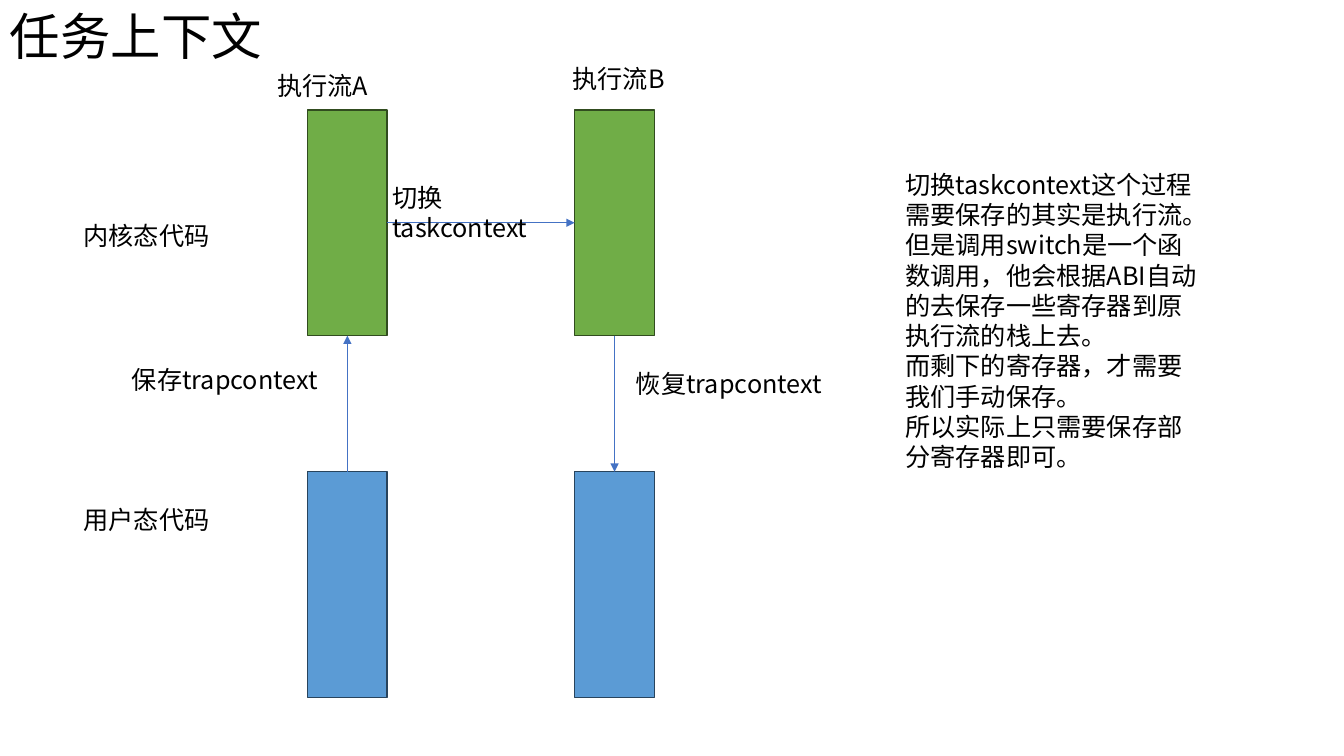
"""Builds the task context slide: two execution flows across kernel and user mode."""
from lxml.etree import SubElement
from pptx import Presentation
from pptx.dml.color import RGBColor
from pptx.enum.shapes import MSO_CONNECTOR as Connector, MSO_SHAPE as Shape
from pptx.enum.text import MSO_AUTO_SIZE as AutoSize
from pptx.oxml.ns import qn
from pptx.util import Inches, Pt

FONT = "Noto Sans CJK SC"
BLACK = RGBColor(0x00, 0x00, 0x00)
ARROW_BLUE = RGBColor(0x44, 0x72, 0xC4)
GREEN = RGBColor(0x70, 0xAD, 0x47)
GREEN_EDGE = RGBColor(0x31, 0x4C, 0x1F)
BLUE = RGBColor(0x5B, 0x9B, 0xD5)
BLUE_EDGE = RGBColor(0x28, 0x44, 0x5D)

TITLE = (["任务上下文"], 0, 0, 10.9, 0.71, 36)
LABELS = [
    (["内核态代码"], 0.73, 2.14, 1.83, 0.4, 18),
    (["用户态代码"], 0.73, 4.95, 1.83, 0.4, 18),
    (["保存trapcontext"], 1.21, 3.57, 2.06, 0.4, 18),
    (["恢复trapcontext"], 6.21, 3.6, 2.06, 0.4, 18),
    (["执行流A"], 2.65, 0.65, 1.96, 0.4, 18),
    (["执行流B"], 5.58, 0.58, 1.96, 0.4, 18),
    (["切换taskcontext"], 3.79, 1.76, 1.96, 0.4, 18),
]
EXPLANATION = ([
    "切换taskcontext这个过程需要保存的其实是执行流。",
    "但是调用switch是一个函数调用，他会根据ABI自动的去保存一些寄存器到原执行流的栈上去。",
    "而剩下的寄存器，才需要我们手动保存。",
    "所以实际上只需要保存部分寄存器即可。",
], 8.88, 1.63, 3.11, 3.13, 18)

FLOW_A, FLOW_B = 3.05, 5.7
KERNEL_TOP, USER_TOP = 1.09, 4.68
BLOCK_WIDTH, BLOCK_HEIGHT = 0.79, 2.24
MODES = [(KERNEL_TOP, GREEN, GREEN_EDGE), (USER_TOP, BLUE, BLUE_EDGE)]

KERNEL_BOTTOM = KERNEL_TOP + BLOCK_HEIGHT
KERNEL_MIDDLE = KERNEL_TOP + BLOCK_HEIGHT / 2
CENTER_A, CENTER_B = (left + BLOCK_WIDTH / 2 for left in (FLOW_A, FLOW_B))
ARROWS = [
    (CENTER_A, USER_TOP, CENTER_A, KERNEL_BOTTOM),
    (FLOW_A + BLOCK_WIDTH, KERNEL_MIDDLE, FLOW_B, KERNEL_MIDDLE),
    (CENTER_B, KERNEL_BOTTOM, CENTER_B, USER_TOP),
]


def add_text(page, lines, left, top, width, height, size):
    box = page.shapes.add_textbox(*map(Inches, (left, top, width, height)))
    frame = box.text_frame
    frame.word_wrap = True
    frame.auto_size = AutoSize.SHAPE_TO_FIT_TEXT
    for index, line in enumerate(lines):
        para = frame.add_paragraph() if index else frame.paragraphs[0]
        span = para.add_run()
        span.text = line
        for name, value in {"name": FONT, "size": Pt(size)}.items():
            setattr(span.font, name, value)
        span.font.color.rgb = BLACK
        SubElement(span.font._element, qn("a:ea"), typeface=FONT)


def add_block(page, left, top, fill, edge):
    block = page.shapes.add_shape(
        Shape.RECTANGLE, *map(Inches, (left, top, BLOCK_WIDTH, BLOCK_HEIGHT)))
    block.shadow.inherit = False
    block.fill.solid()
    block.fill.fore_color.rgb = fill
    block.line.color.rgb = edge
    block.line.width = Pt(1)


def add_arrow(page, *ends):
    arrow = page.shapes.add_connector(Connector.STRAIGHT, *map(Inches, ends))
    arrow.line.color.rgb = ARROW_BLUE
    arrow.line.width = Pt(0.5)
    SubElement(arrow.line._get_or_add_ln(), qn("a:tailEnd"), type="triangle")
    SubElement(arrow._element.spPr, qn("a:effectLst"))


def main():
    deck = Presentation()
    deck.slide_width, deck.slide_height = Inches(13.33), Inches(7.5)
    page = deck.slides.add_slide(deck.slide_layouts[6])
    add_text(page, *TITLE)
    for mode in MODES:
        for left in (FLOW_A, FLOW_B):
            add_block(page, left, *mode)
    for ends in ARROWS:
        add_arrow(page, *ends)
    for label in [*LABELS, EXPLANATION]:
        add_text(page, *label)
    deck.save("out.pptx")


if __name__ == "__main__":
    main()
